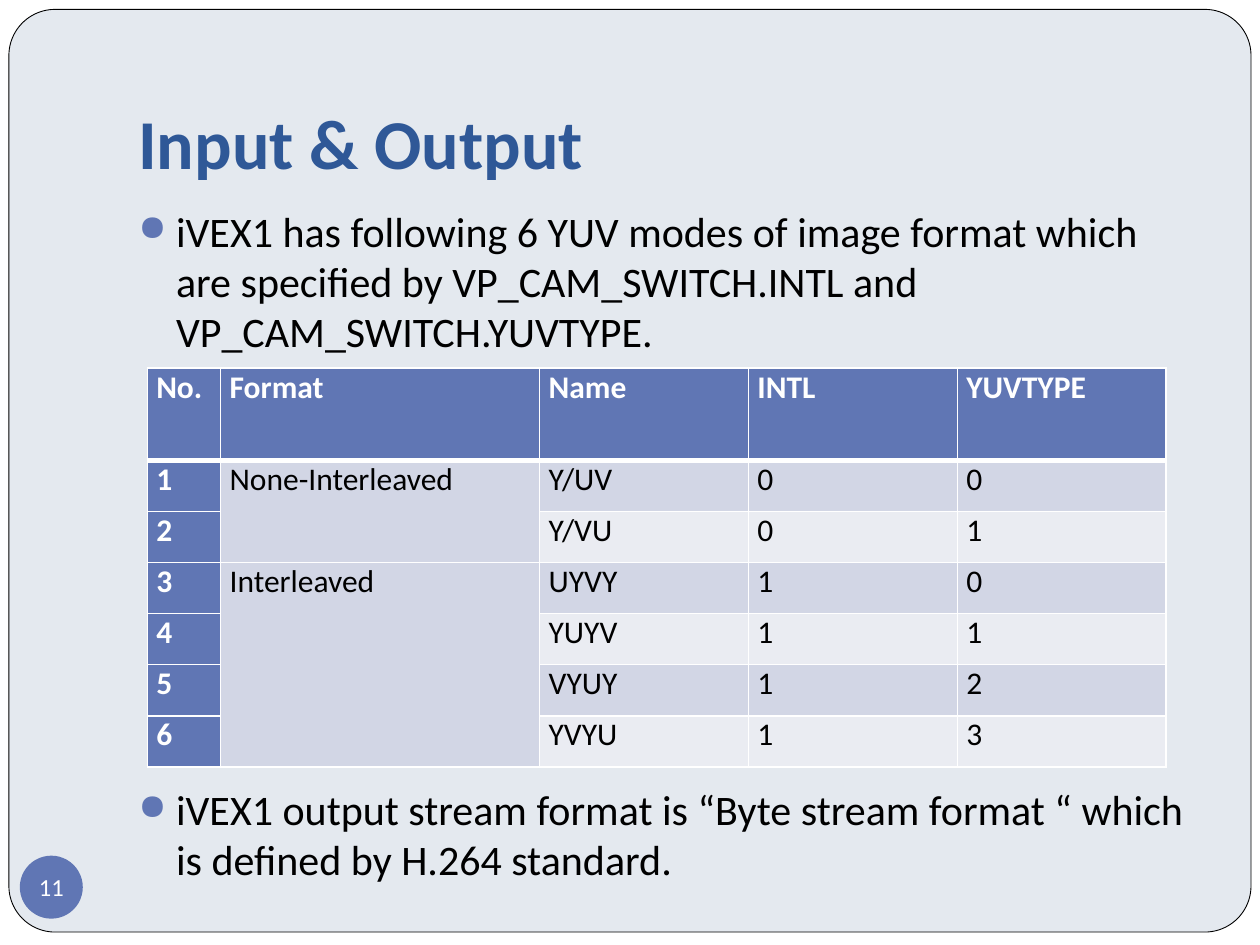
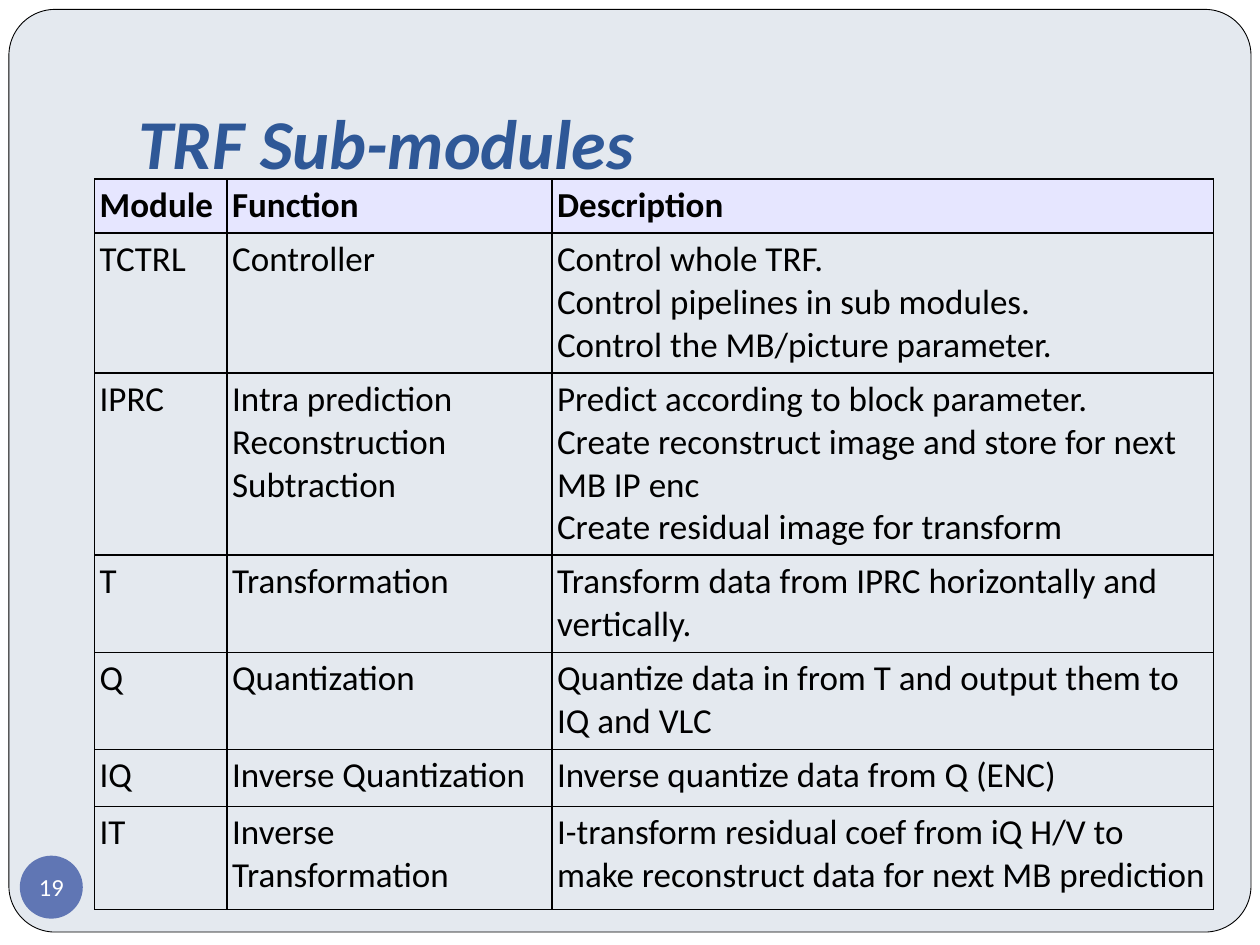
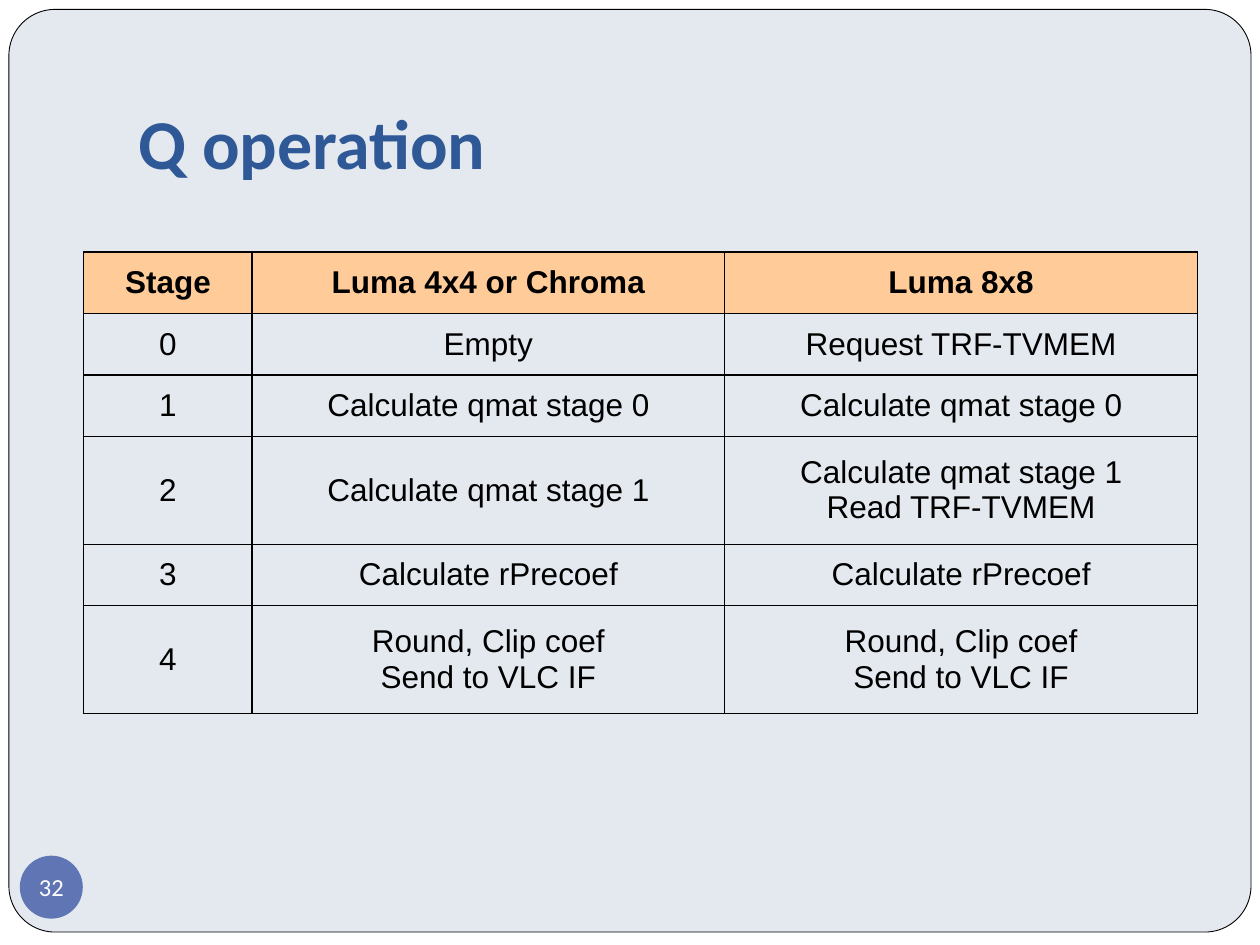
from lxml import etree
from pptx import Presentation
from pptx.dml.color import RGBColor
from pptx.enum.shapes import MSO_SHAPE
from pptx.enum.text import MSO_ANCHOR, PP_ALIGN
from pptx.oxml.ns import qn
from pptx.util import Cm, Pt

RECTANGLE = MSO_SHAPE.RECTANGLE
ROUNDED_RECTANGLE = MSO_SHAPE.ROUNDED_RECTANGLE
OVAL = MSO_SHAPE.OVAL
TOP, MIDDLE, BOTTOM = MSO_ANCHOR.TOP, MSO_ANCHOR.MIDDLE, MSO_ANCHOR.BOTTOM
LEFT, CENTER, JUSTIFY = PP_ALIGN.LEFT, PP_ALIGN.CENTER, PP_ALIGN.JUSTIFY

COLORS = {
    "white": "FFFFFF",
    "black": "000000",
    "panel": "E4E9EF",
    "title": "2F5897",
    "accent": "6076B4",
    "band_dark": "D2D6E5",
    "band_light": "EAECF2",
    "lavender": "E6E6FF",
    "peach": "FFCC99",
}
BODY_FONT = "Calibri"
TABLE_FONT = "Arial"
SLIDE_WIDTH, SLIDE_HEIGHT = 25.4, 19.05

YUV_MODES = [
    ["No.", "Format", "Name", "INTL", "YUVTYPE"],
    ["1", "None-Interleaved", "Y/UV", "0", "0"],
    ["2", "", "Y/VU", "0", "1"],
    ["3", "Interleaved", "UYVY", "1", "0"],
    ["4", "", "YUYV", "1", "1"],
    ["5", "", "VYUY", "1", "2"],
    ["6", "", "YVYU", "1", "3"],
]
SUB_MODULES = [
    ["Module", "Function", "Description"],
    ["TCTRL", "Controller",
     "Control whole TRF.\nControl pipelines in sub modules.\n"
     "Control the MB/picture parameter."],
    ["IPRC", "Intra prediction\nReconstruction\nSubtraction",
     "Predict according to block parameter.\n"
     "Create reconstruct image and store for next MB IP enc\n"
     "Create residual image for transform"],
    ["T", "Transformation", "Transform data from IPRC horizontally and vertically."],
    ["Q", "Quantization", "Quantize data in from T and output them to IQ and VLC"],
    ["IQ", "Inverse Quantization", "Inverse quantize data from Q (ENC)"],
    ["IT", "Inverse Transformation",
     "I-transform residual coef from iQ H/V to make reconstruct data "
     "for next MB prediction"],
]
Q_STAGES = [
    ["Stage", "Luma 4x4 or Chroma", "Luma 8x8"],
    ["0", "Empty", "Request TRF-TVMEM"],
    ["1", "Calculate qmat stage 0", "Calculate qmat stage 0"],
    ["2", "Calculate qmat stage 1", "Calculate qmat stage 1\nRead TRF-TVMEM"],
    ["3", "Calculate rPrecoef", "Calculate rPrecoef"],
    ["4", "Round, Clip coef\nSend to VLC IF", "Round, Clip coef\nSend to VLC IF"],
]


def rgb(name):
    return RGBColor.from_string(COLORS[name])


def add_run(paragraph, text, size, color="black", bold=False, italic=False, font=BODY_FONT):
    run = paragraph.add_run()
    run.text = text
    run.font.name = font
    run.font.size = Pt(size)
    run.font.bold = bold
    run.font.italic = italic
    run.font.color.rgb = rgb(color)


def set_margins(target, left, top, right, bottom):
    target.margin_left, target.margin_top = Cm(left), Cm(top)
    target.margin_right, target.margin_bottom = Cm(right), Cm(bottom)


def add_filled_shape(slide, kind, left, top, width, height, fill, line=None):
    shape = slide.shapes.add_shape(kind, Cm(left), Cm(top), Cm(width), Cm(height))
    shape.shadow.inherit = False
    shape.fill.solid()
    shape.fill.fore_color.rgb = rgb(fill)
    if line:
        shape.line.color.rgb = rgb(line)
        shape.line.width = Pt(0.5)
    else:
        shape.line.fill.background()
    return shape


def add_text_box(slide, left, top, width, height):
    box = slide.shapes.add_textbox(Cm(left), Cm(top), Cm(width), Cm(height))
    box.text_frame.word_wrap = True
    return box.text_frame


def add_framed_slide(presentation, title, number, italic=False):
    slide = presentation.slides.add_slide(presentation.slide_layouts[6])
    slide.background.fill.solid()
    slide.background.fill.fore_color.rgb = rgb("panel")
    add_filled_shape(slide, RECTANGLE, 0, 0, SLIDE_WIDTH, SLIDE_HEIGHT, "white")
    panel = add_filled_shape(slide, ROUNDED_RECTANGLE, 0.18, 0.19, 25.04, 18.6,
                             "panel", "black")
    panel.adjustments[0] = 0.05

    title_frame = add_text_box(slide, 2.54, 0.76, 21.59, 3.18)
    title_frame.vertical_anchor = BOTTOM
    set_margins(title_frame, 0.25, 0.13, 0.25, 0.25)
    add_run(title_frame.paragraphs[0], title, 40, "title", bold=True, italic=italic)

    badge = add_filled_shape(slide, OVAL, 0.4, 17.25, 1.27, 1.27, "accent")
    badge_frame = badge.text_frame
    badge_frame.word_wrap = False
    badge_frame.vertical_anchor = MIDDLE
    set_margins(badge_frame, 0, 0, 0, 0)
    badge_frame.paragraphs[0].alignment = CENTER
    add_run(badge_frame.paragraphs[0], number, 14, "white")
    return slide


def add_bullet(slide, text, top, height):
    paragraph = add_text_box(slide, 2.54, top, 21.59, height).paragraphs[0]
    paragraph.space_before = Pt(5.8)
    properties = paragraph._p.get_or_add_pPr()
    properties.set("marL", str(Cm(0.76)))
    properties.set("indent", str(-Cm(0.76)))
    bullet_color = etree.SubElement(properties, qn("a:buClr"))
    etree.SubElement(bullet_color, qn("a:srgbClr"), val=COLORS["accent"])
    etree.SubElement(properties, qn("a:buSzPct"), val="85000")
    etree.SubElement(properties, qn("a:buChar"), char="●")
    add_run(paragraph, text, 24)


def set_borders(cell, color, widths):
    properties = cell._tc.get_or_add_tcPr()
    for position, (side, width) in enumerate(zip("LRTB", widths)):
        line = etree.Element(qn(f"a:ln{side}"), w=str(Pt(width)))
        fill = etree.SubElement(line, qn("a:solidFill"))
        etree.SubElement(fill, qn("a:srgbClr"), val=COLORS[color])
        properties.insert(position, line)


def fill_cell(cell, fill):
    if fill:
        cell.fill.solid()
        cell.fill.fore_color.rgb = rgb(fill)
    else:
        cell.fill.background()


def write_cell(cell, text, alignment=LEFT, space_after=0, soft_breaks=False, **font):
    lines = text.split("\n")
    paragraph = cell.text_frame.paragraphs[0]
    paragraph.alignment = alignment
    for index, line in enumerate(lines):
        if index and soft_breaks:
            paragraph.add_line_break()
        elif index:
            paragraph = cell.text_frame.add_paragraph()
            paragraph.alignment = alignment
        add_run(paragraph, line, **font)
    if space_after:
        paragraph.space_after = Pt(space_after)


def add_grid(slide, left, top, widths, heights):
    frame = slide.shapes.add_table(len(heights), len(widths), Cm(left), Cm(top),
                                   Cm(sum(widths)), Cm(sum(heights)))
    table = frame.table
    for column, width in zip(table.columns, widths):
        column.width = Cm(width)
    for row, height in zip(table.rows, heights):
        row.height = Cm(height)
    return table


def add_ruled_table(slide, rows, left, top, widths, heights, header_fill, border,
                    margins=(0.25, 0.13, 0.25, 0.13), anchor=TOP, **text_style):
    table = add_grid(slide, left, top, widths, heights)
    for row_index, row in enumerate(rows):
        is_header = row_index == 0
        for column_index, text in enumerate(row):
            cell = table.cell(row_index, column_index)
            set_margins(cell, *margins)
            cell.vertical_anchor = anchor
            fill_cell(cell, header_fill if is_header else None)
            set_borders(cell, "black", [border] * 4)
            write_cell(cell, text, bold=is_header, **text_style)


def add_banded_table(slide, rows, left, top, widths, heights, merges):
    table = add_grid(slide, left, top, widths, heights)
    for row_index, row in enumerate(rows):
        for column_index, text in enumerate(row):
            cell = table.cell(row_index, column_index)
            is_heading = row_index == 0 or column_index == 0
            if is_heading:
                fill = "accent"
            elif column_index == 1 or row_index % 2:
                fill = "band_dark"
            else:
                fill = "band_light"
            set_margins(cell, 0.18, 0, 0.18, 0)
            fill_cell(cell, fill)
            set_borders(cell, "white",
                        [1, 1, 3 if row_index == 1 else 1, 3 if row_index == 0 else 1])
            if text:
                write_cell(cell, text, JUSTIFY, size=18, bold=is_heading,
                           color="white" if is_heading else "black")
    for first, last in merges:
        table.cell(first, 1).merge(table.cell(last, 1))


def build_input_output(presentation):
    slide = add_framed_slide(presentation, "Input & Output", "11")
    add_banded_table(slide, YUV_MODES, 2.97, 7.42, [1.48, 6.43] + [4.21] * 3,
                     [1.86] + [1.03] * 6, merges=[(1, 2), (3, 6)])
    add_bullet(slide, "iVEX1 has following 6 YUV modes of image format which are specified "
                      "by VP_CAM_SWITCH.INTL and VP_CAM_SWITCH.YUVTYPE.", 4.01, 12.7)
    add_bullet(slide, "iVEX1 output stream format is “Byte stream format “ which is "
                      "defined by H.264 standard.", 15.67, 2.74)


def build_sub_modules(presentation):
    slide = add_framed_slide(presentation, "TRF Sub-modules", "19", italic=True)
    add_ruled_table(slide, SUB_MODULES, 1.91, 3.61, [2.67, 6.55, 13.33],
                    [1.09, 2.82, 3.67, 1.96, 1.96, 1.15, 2.08], "lavender", 1,
                    margins=(0.1, 0.1, 0.1, 0.1), size=20, space_after=5.8)


def build_q_operation(presentation):
    slide = add_framed_slide(presentation, "Q operation", "32")
    single, double = 1.24, 2.17
    add_ruled_table(slide, Q_STAGES, 1.69, 5.08, [3.39, 9.53, 9.53],
                    [single, single, single, double, single, double], "peach", 0.75,
                    anchor=MIDDLE, alignment=CENTER, size=18, font=TABLE_FONT,
                    soft_breaks=True)


def main():
    presentation = Presentation()
    presentation.slide_width = Cm(SLIDE_WIDTH)
    presentation.slide_height = Cm(SLIDE_HEIGHT)
    build_input_output(presentation)
    build_sub_modules(presentation)
    build_q_operation(presentation)
    presentation.save("out.pptx")


if __name__ == "__main__":
    main()
